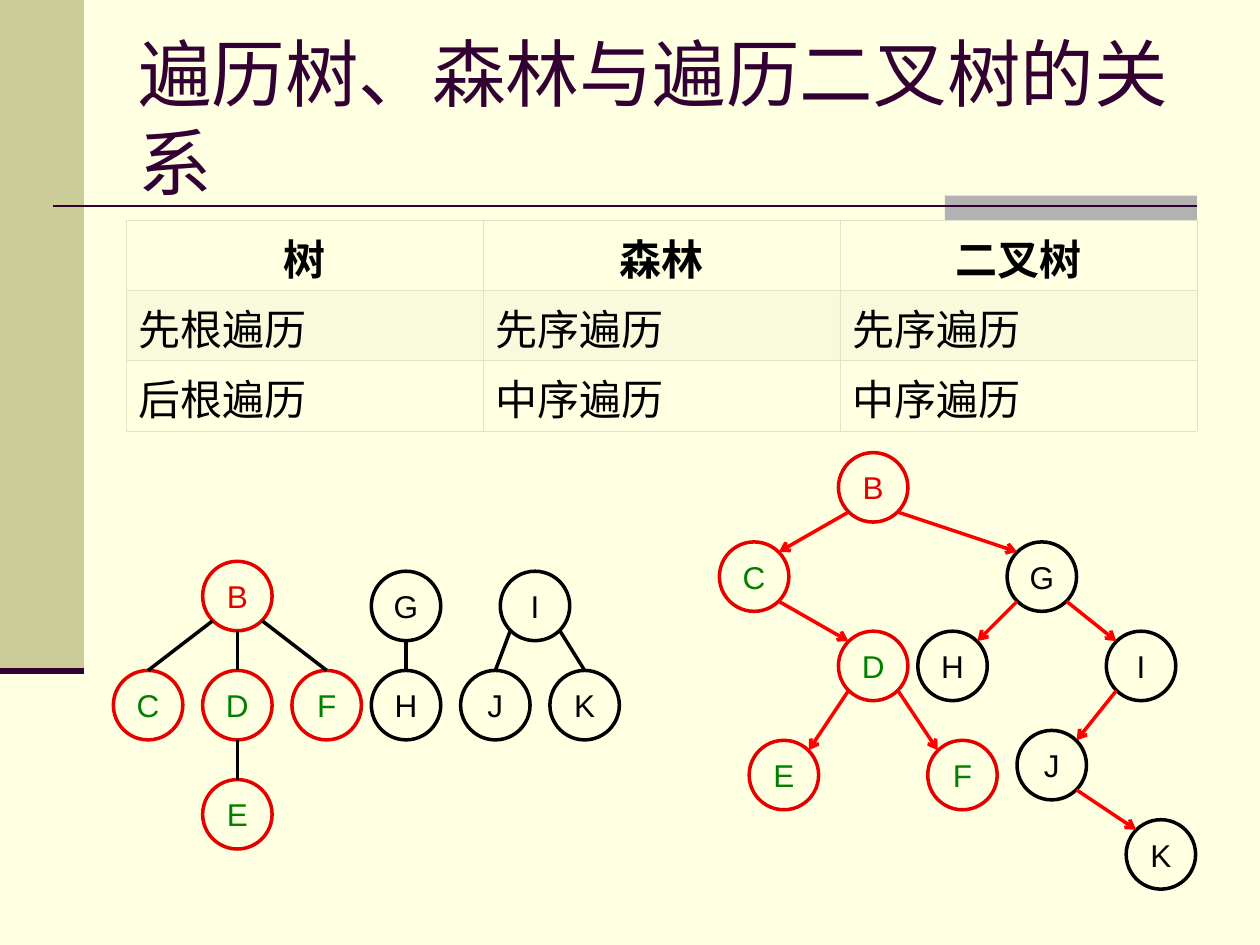
from collections import namedtuple

from lxml import etree
from pptx import Presentation
from pptx import util as u
from pptx.dml.color import RGBColor
from pptx.enum import shapes, text
from pptx.oxml import ns

Box = namedtuple("Box", "left top width height")

WIDTH, HEIGHT = u.Inches(10), u.Inches(7.5)
CELL = u.Cm(0.2)
NODE = 7
PAPER, PLUM, GRID, RED, GREEN, BLACK = "FFFFE1", "330033", "E2E2CA", "E50000", "008000", "000000"
FONT = "Arial"
STYLES = {letter: (RED, GREEN) for letter in "CDEF"} | {"B": (RED, RED)}

FOREST = {"B": (9, 0), "C": (0, 11), "D": (9, 11), "F": (18, 11), "E": (9, 22),
          "G": (26, 1), "H": (26, 11), "I": (39, 1), "J": (35, 11), "K": (44, 11)}
FOREST_EDGES = "BC BD BF DE GH IJ IK".split()
BINARY = {"B": (12, 0), "C": (0, 9), "D": (12, 18), "E": (3, 29), "F": (21, 29),
          "G": (29, 9), "H": (20, 18), "I": (39, 18), "J": (30, 28), "K": (41, 37)}
BINARY_EDGES = "BC BG CD DE DF GH GI IJ JK".split()
ROWS = [["树", "森林", "二叉树"],
        ["先根遍历", "先序遍历", "先序遍历"],
        ["后根遍历", "中序遍历", "中序遍历"]]


def color(value):
    """Turn a hex string into a colour."""
    return RGBColor.from_string(value)


def share(left, top, width=0.0, height=0.0):
    """Turn shares of the slide's size into a box of lengths."""
    return Box(*(round(part * full) for part, full in
                 zip((left, top, width, height), (WIDTH, HEIGHT, WIDTH, HEIGHT))))


def write(frame, words, size, ink, align=text.PP_ALIGN.LEFT, bold=False):
    """Put one formatted paragraph into a text frame."""
    para = frame.paragraphs[0]
    para.alignment = align
    span = para.add_run()
    span.text = words
    for name, value in {"name": FONT, "size": u.Pt(size), "bold": bold}.items():
        setattr(span.font, name, value)
    span.font.color.rgb = color(ink)


def add_block(page, kind, box, fill, outline=None):
    """Add a flat preset shape with an optional outline."""
    block = page.shapes.add_shape(kind, *box)
    block.shadow.inherit = False
    block.fill.solid()
    block.fill.fore_color.rgb = color(fill)
    if outline:
        block.line.color.rgb = color(outline)
        block.line.width = u.Pt(2)
    else:
        block.line.fill.background()
    return block


def add_line(page, start, end, ink, width, arrow=False):
    """Add a straight line, with an open arrowhead at its end if asked."""
    line = page.shapes.add_connector(shapes.MSO_CONNECTOR.STRAIGHT, *start, *end)
    line.line.color.rgb = color(ink)
    line.line.width = u.Pt(width)
    if arrow:
        etree.SubElement(line.line._get_or_add_ln(), ns.qn("a:tailEnd"), type="arrow")
    etree.SubElement(line._element.spPr, ns.qn("a:effectLst"))


def draw_frame(page, box):
    """Draw the side band, the accent bar and the two rules."""
    side, bar = share(0, 0, 1 / 15, 0.71), share(0.75, 0.207, 0.2, 0.026)
    for part, fill in ((side, "CCCC99"), (bar, "B2B2B2")):
        place = part._replace(left=box.left + part.left, top=box.top + part.top)
        add_block(page, shapes.MSO_SHAPE.RECTANGLE, place, fill)
    for left, right, level, width in ((0.042, 0.95, 0.218, 1.5), (0, 1 / 15, 0.71, 3.5)):
        ends = [(box.left + round(x * box.width), box.top + round(level * box.height))
                for x in (left, right)]
        add_line(page, *ends, PLUM, width)


def draw_title(page, box):
    """Write the slide title."""
    frame = page.shapes.add_textbox(*box).text_frame
    frame.word_wrap = True
    frame.vertical_anchor = text.MSO_ANCHOR.MIDDLE
    write(frame, "遍历树、森林与遍历二叉树的关系", 42, PLUM)


def set_borders(cell, widths):
    """Give a cell its left, right, top and bottom borders."""
    properties = cell._tc.get_or_add_tcPr()
    for side, width in zip("LRTB", widths):
        border = etree.SubElement(properties, ns.qn(f"a:ln{side}"), w=str(u.Pt(width)))
        fill = etree.SubElement(border, ns.qn("a:solidFill"))
        etree.SubElement(fill, ns.qn("a:srgbClr"), val=GRID)


def draw_table(page, box):
    """Draw the table that pairs the traversal orders."""
    table = page.shapes.add_table(len(ROWS), len(ROWS[0]), *box).table
    table.first_row = table.horz_banding = False
    borders = [(0.45, 0.45, 0.45, 0.96), (0.45, 0.45, 0.96, 0.45), (0.45,) * 4]
    for row, words in enumerate(ROWS):
        for column, word in enumerate(words):
            cell = table.cell(row, column)
            align = text.PP_ALIGN.LEFT if row else text.PP_ALIGN.CENTER
            write(cell.text_frame, word, 24, BLACK, align, bold=row == 0)
            set_borders(cell, borders[row])
            if row == 1:
                cell.fill.solid()
                cell.fill.fore_color.rgb = color(GRID)
                tint = cell._tc.tcPr.find(ns.qn("a:solidFill"))[0]
                etree.SubElement(tint, ns.qn("a:alpha"), val="20000")
            else:
                cell.fill.background()


def draw_node(page, box, letter):
    """Draw one lettered circle."""
    outline, ink = STYLES.get(letter, (BLACK, BLACK))
    frame = add_block(page, shapes.MSO_SHAPE.OVAL, box, PAPER, outline).text_frame
    frame.word_wrap = False
    frame.vertical_anchor = text.MSO_ANCHOR.MIDDLE
    write(frame, letter, 18, ink, text.PP_ALIGN.CENTER)


def draw_tree(page, box, nodes, edges, binary):
    """Draw nodes on the grid and join each parent to its child."""
    def spot(column, row):
        return box.left + round(column * CELL), box.top + round(row * CELL)

    for letter, place in nodes.items():
        draw_node(page, Box(*spot(*place), NODE * CELL, NODE * CELL), letter)
    for parent, child in edges:
        (x, y), (to_x, to_y) = nodes[parent], nodes[child]
        side = (to_x > x) - (to_x < x)
        start = spot(x + NODE / 2 + 2.5 * side, y + (6 if side else NODE))
        if binary:
            end = spot(to_x + NODE / 2 - 2.5 * side, to_y + 1)
        else:
            end = spot(to_x + NODE / 2, to_y)
        add_line(page, start, end, "FF0000" if binary else BLACK, 2, arrow=binary)


def main():
    """Build the slide and save the deck."""
    deck = Presentation()
    deck.slide_width, deck.slide_height = WIDTH, HEIGHT
    page = deck.slides.add_slide(deck.slide_layouts[6])
    page.background.fill.solid()
    page.background.fill.fore_color.rgb = color(PAPER)
    draw_frame(page, share(0, 0, 1, 1))
    draw_title(page, share(0.1, 0.04, 0.85, 1 / 6))
    draw_table(page, share(0.1, 0.233, 0.85, 0.223))
    draw_tree(page, share(0.09, 0.594), FOREST, FOREST_EDGES, binary=False)
    draw_tree(page, share(0.571, 0.479), BINARY, BINARY_EDGES, binary=True)
    deck.save("out.pptx")


if __name__ == "__main__":
    main()
